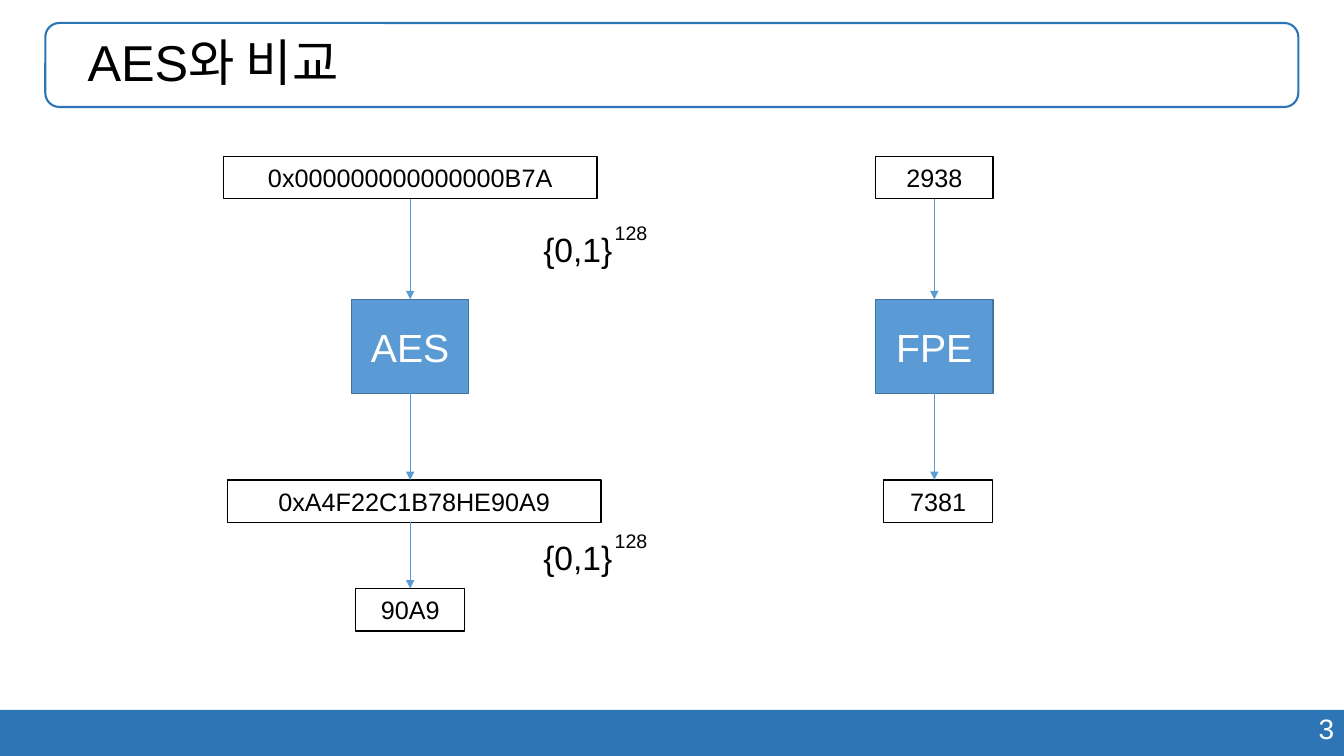
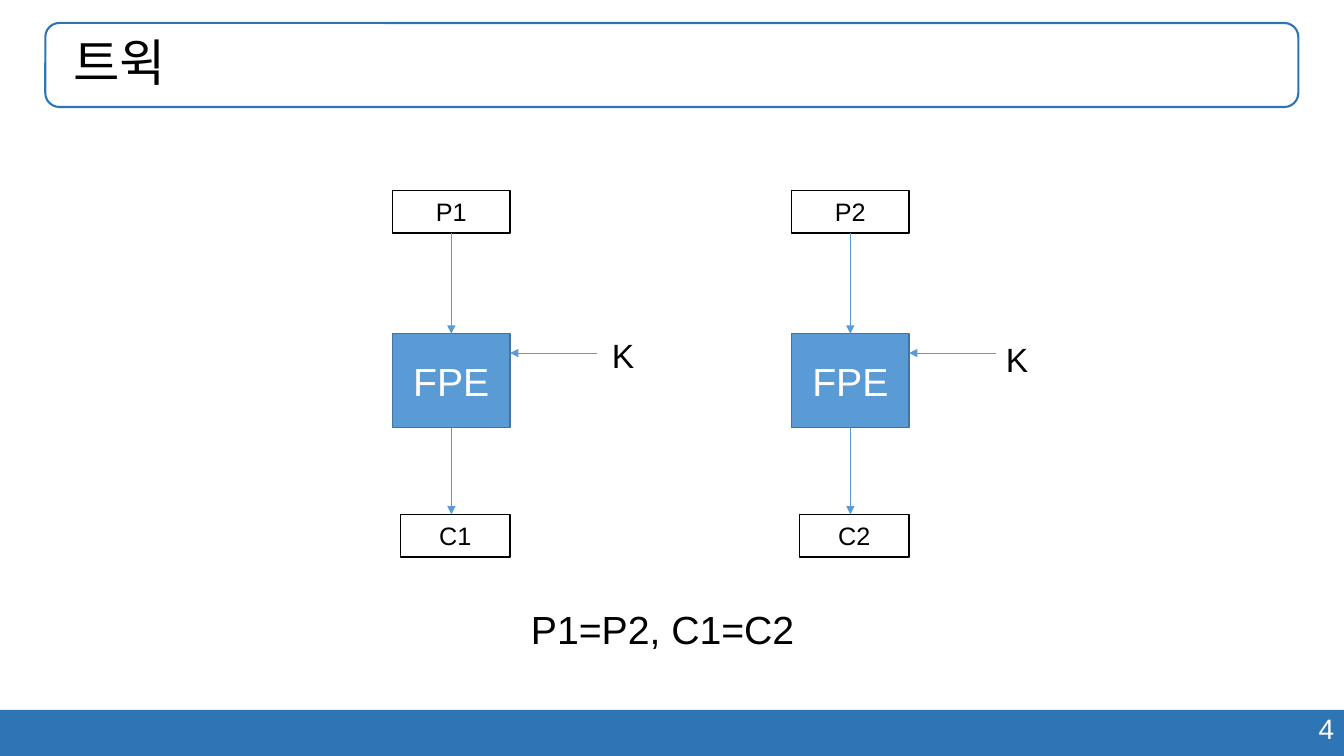
import dataclasses

import pptx
import pptx.dml.color
import pptx.enum.shapes
import pptx.enum.text
import pptx.oxml
import pptx.oxml.ns
import pptx.util

Pt = pptx.util.Pt
Shape = pptx.enum.shapes.MSO_SHAPE
Align = pptx.enum.text.PP_ALIGN
Anchor = pptx.enum.text.MSO_ANCHOR


@dataclasses.dataclass(frozen=True)
class Theme:
    font: str = "Arial"
    band: str = "2E75B6"
    accent: str = "5B9BD5"
    accent_edge: str = "43739E"
    ink: str = "000000"
    paper: str = "FFFFFF"
    title_size: float = 36
    cipher_size: float = 28
    label_size: float = 24
    number_size: float = 20
    value_size: float = 18
    exponent_size: float = 14


THEME = Theme()
PAGE_WIDTH, PAGE_HEIGHT = 960, 540
BAND_TOP = 507
VALUE_HEIGHT = 30.4
CIPHER_WIDTH, CIPHER_HEIGHT = 83.8, 67.2
CIPHER_DROP, OUTPUT_DROP = 102.2, 231.2
OUTPUT_SHIFT = 2.8
OUTPUT_WIDTH = 78
WIDE_VALUE = 267


def color(value):
    return pptx.dml.color.RGBColor.from_string(value)


def write(shape, text, size, ink=THEME.ink, align=Align.LEFT, anchor=Anchor.TOP):
    frame = shape.text_frame
    frame.word_wrap = True
    frame.vertical_anchor = anchor
    frame.text = text
    para = frame.paragraphs[0]
    para.alignment = align
    for span in para.runs:
        span.font.name = THEME.font
        span.font.size = Pt(size)
        span.font.color.rgb = color(ink)
    return frame


def add_label(page, left, top, width, height, text, size, **style):
    box = page.shapes.add_textbox(Pt(left), Pt(top), Pt(width), Pt(height))
    return write(box, text, size, **style)


def add_box(page, left, top, width, height, fill=None, edge=None, weight=1, kind=Shape.RECTANGLE):
    box = page.shapes.add_shape(kind, Pt(left), Pt(top), Pt(width), Pt(height))
    box.shadow.inherit = False
    if fill:
        box.fill.solid()
        box.fill.fore_color.rgb = color(fill)
    else:
        box.fill.background()
    if edge:
        box.line.color.rgb = color(edge)
        box.line.width = Pt(weight)
    else:
        box.line.fill.background()
    return box


def add_value(page, center, top, width, text):
    box = add_box(page, center - width / 2, top, width, VALUE_HEIGHT, edge=THEME.ink)
    write(box, text, THEME.value_size, align=Align.CENTER, anchor=Anchor.MIDDLE)


def add_arrow(page, start, end):
    arrow = page.shapes.add_connector(
        pptx.enum.shapes.MSO_CONNECTOR.STRAIGHT, *(Pt(length) for length in (*start, *end))
    )
    arrow.line.color.rgb = color(THEME.accent)
    arrow.line.width = Pt(0.5)
    head = pptx.oxml.parse_xml(f'<a:tailEnd {pptx.oxml.ns.nsdecls("a")} type="triangle"/>')
    arrow.line._get_or_add_ln().append(head)
    effects = pptx.oxml.parse_xml(f'<a:effectLst {pptx.oxml.ns.nsdecls("a")}/>')
    arrow._element.spPr.append(effects)


def add_cipher_flow(page, center, top, source, cipher, result,
                    source_width=CIPHER_WIDTH, result_width=OUTPUT_WIDTH):
    cipher_top = top + CIPHER_DROP
    output_top = top + OUTPUT_DROP
    block = add_box(page, center - CIPHER_WIDTH / 2, cipher_top, CIPHER_WIDTH, CIPHER_HEIGHT,
                    fill=THEME.accent, edge=THEME.accent_edge)
    write(block, cipher, THEME.cipher_size, ink=THEME.paper,
          align=Align.CENTER, anchor=Anchor.MIDDLE)
    add_value(page, center, top, source_width, source)
    add_value(page, center + OUTPUT_SHIFT, output_top, result_width, result)
    add_arrow(page, (center, top + VALUE_HEIGHT), (center, cipher_top))
    add_arrow(page, (center, cipher_top + CIPHER_HEIGHT), (center, output_top))
    return output_top + VALUE_HEIGHT


def add_bit_space(page, left, top):
    add_label(page, left, top, 66, 36, "{0,1}", THEME.label_size)
    add_label(page, left + 51, top - 5.8, 66, 24.5, "128", THEME.exponent_size)


def add_key(page, center, arrow_top, left, top):
    add_arrow(page, (center + 104, arrow_top), (center + CIPHER_WIDTH / 2, arrow_top))
    add_label(page, left, top, 34.6, 36, "K", THEME.label_size)


def add_page(deck, title, number, indent):
    page = deck.slides.add_slide(deck.slide_layouts[6])
    add_box(page, 0, BAND_TOP, PAGE_WIDTH, PAGE_HEIGHT - BAND_TOP, fill=THEME.band)
    add_label(page, 679, 504.8, 281, 31.6, number, THEME.number_size,
              ink=THEME.paper, align=Align.RIGHT)
    title_box = add_box(page, 32.4, 16.4, 895, 60, edge=THEME.band, weight=1.5,
                        kind=Shape.ROUNDED_RECTANGLE)
    frame = write(title_box, title, THEME.title_size, anchor=Anchor.MIDDLE)
    frame.margin_left = Pt(indent)
    frame.paragraphs[0].line_spacing = 0.9
    return page


def build_comparison(deck):
    page = add_page(deck, "AES와 비교", "3", 27.2)
    top, center = 111.6, 293
    output_bottom = add_cipher_flow(page, center, top, "0x000000000000000B7A", "AES",
                                    "0xA4F22C1B78HE90A9", WIDE_VALUE, WIDE_VALUE)
    add_cipher_flow(page, 667.4, top, "2938", "FPE", "7381")
    cut_top = 420.4
    add_value(page, center, cut_top, OUTPUT_WIDTH, "90A9")
    add_arrow(page, (center, output_bottom), (center, cut_top))
    for space_top in (159.8, 380):
        add_bit_space(page, 381, space_top)


def build_tweak(deck):
    page = add_page(deck, "트윅", "4", 17.2)
    for center, index, key_left, key_top in ((322.4, 1, 430, 235.4), (607.4, 2, 711.4, 238.4)):
        add_cipher_flow(page, center, 136.2, f"P{index}", "FPE", f"C{index}")
        add_key(page, center, 252.2, key_left, key_top)
    add_label(page, 372.2, 429, 236, 40, "P1=P2, C1=C2", THEME.cipher_size)


def main():
    deck = pptx.Presentation()
    deck.slide_width = Pt(PAGE_WIDTH)
    deck.slide_height = Pt(PAGE_HEIGHT)
    build_comparison(deck)
    build_tweak(deck)
    deck.save("out.pptx")


if __name__ == "__main__":
    main()
